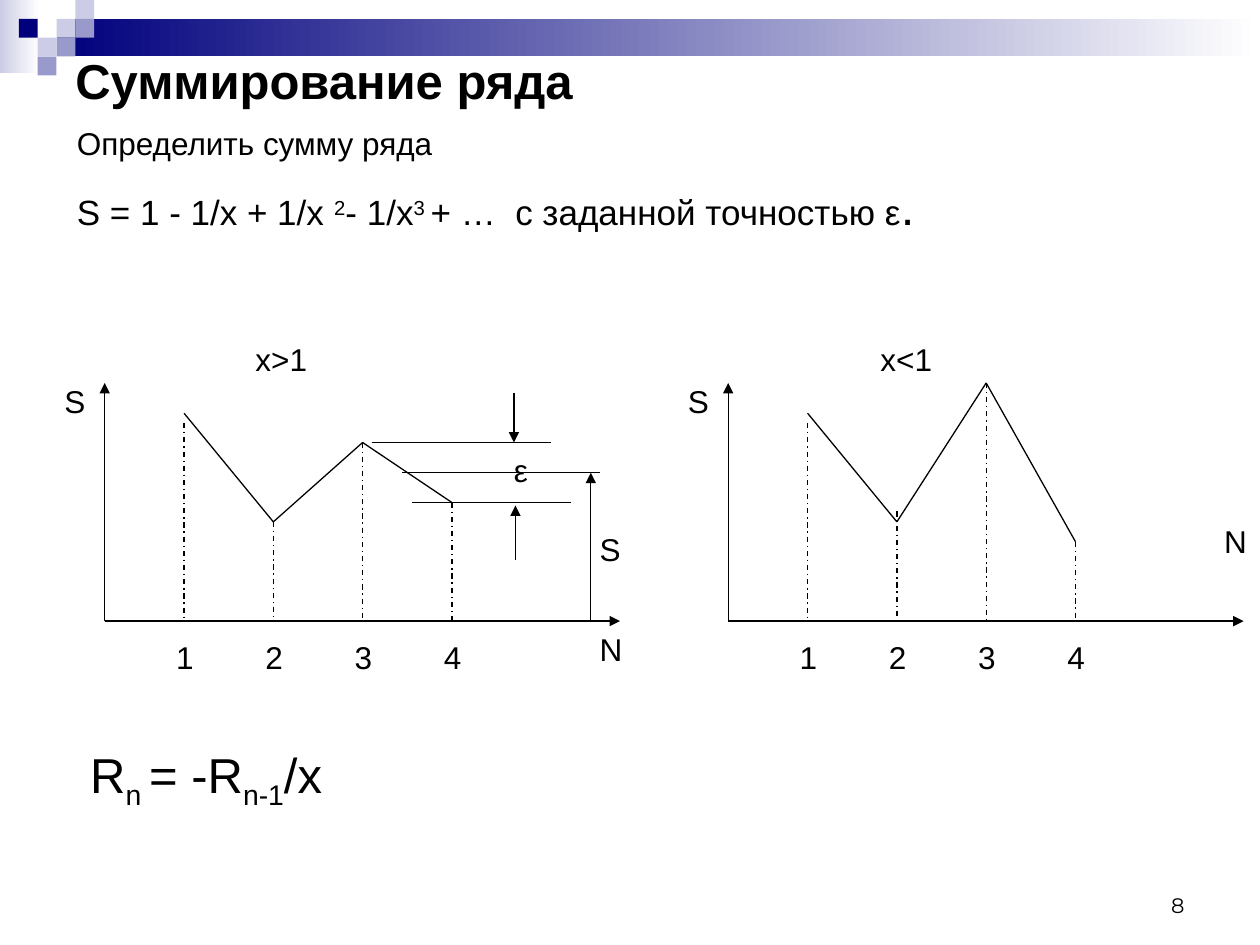
from dataclasses import dataclass

from lxml import etree
from pptx import Presentation
from pptx import util as u
from pptx.dml.color import RGBColor
from pptx.enum import dml, shapes, text
from pptx.oxml import ns


@dataclass(frozen=True)
class Theme:
    ink: str = "000000"
    navy: str = "00007D"
    violet: str = "9999CC"
    lilac: str = "CCCCE6"
    white: str = "FFFFFF"
    font: str = "Arial"
    number_font: str = "Montserrat"
    heading: int = 28
    formula: int = 20
    label: int = 18
    number: int = 12
    stroke: float = 0.74


class SlideBuilder:
    """Draw styled elements on one slide, with lengths in centimetres."""

    def __init__(self, page, theme):
        self.page = page
        self.theme = theme

    def rect(self, left, top, width, height, *colors):
        box = self.page.shapes.add_shape(
            shapes.MSO_SHAPE.RECTANGLE, u.Cm(left), u.Cm(top), u.Cm(width), u.Cm(height))
        box.shadow.inherit = False
        box.line.fill.background()
        if len(colors) == 1:
            box.fill.solid()
            box.fill.fore_color.rgb = RGBColor.from_string(colors[0])
            return
        box.fill.gradient()
        box.fill.gradient_angle = 0
        for stop, color, position in zip(box.fill.gradient_stops, colors, (0, 1)):
            stop.color.rgb = RGBColor.from_string(color)
            stop.position = position

    def line(self, start, end, arrow=False, dashed=False):
        x1, y1, x2, y2 = (u.Cm(value) for value in (*start, *end))
        connector = self.page.shapes.add_connector(
            shapes.MSO_CONNECTOR.STRAIGHT, x1, y1, x2, y2)
        connector.line.width = u.Pt(self.theme.stroke)
        connector.line.color.rgb = RGBColor.from_string(self.theme.ink)
        if dashed:
            connector.line.dash_style = dml.MSO_LINE.DASH_DOT
        properties = connector.element.spPr
        if arrow:
            outline = properties.find(ns.qn("a:ln"))
            etree.SubElement(outline, ns.qn("a:tailEnd"), type="triangle")
        etree.SubElement(properties, ns.qn("a:effectLst"))

    def text(self, left, top, width, height, paragraphs, size, wrap=True,
             font=None, bold=False, align=text.PP_ALIGN.LEFT,
             anchor=text.MSO_ANCHOR.TOP, gap=0):
        box = self.page.shapes.add_textbox(
            u.Cm(left), u.Cm(top), u.Cm(width), u.Cm(height))
        frame = box.text_frame
        frame.word_wrap = wrap
        frame.vertical_anchor = anchor
        for index, spans in enumerate(paragraphs):
            para = frame.add_paragraph() if index else frame.paragraphs[0]
            para.alignment = align
            para.space_before = u.Pt(gap if index else 0)
            for words, span_size, baseline in spans:
                span = para.add_run()
                span.text = words
                span.font.name = font or self.theme.font
                span.font.size = u.Pt(span_size or size)
                span.font.bold = bold
                span.font.color.rgb = RGBColor.from_string(self.theme.ink)
                if baseline:
                    span._r.get_or_add_rPr().set("baseline", str(baseline * 1000))

    def label(self, left, top, words, width=0.9):
        self.text(left, top, width, 1.02, [[(words, None, 0)]], self.theme.label, wrap=False)

    def chart(self, shift, heights, drop_tops, name_at, title, title_left):
        base, origin = 12.52, 2.11 + shift
        ticks = [3.71 + shift + 1.8 * index for index in range(len(heights))]
        self.line((origin, base), (origin + 10.39, base), arrow=True)
        self.line((origin, base), (origin, 7.72), arrow=True)
        points = list(zip(ticks, heights))
        for start, end in zip(points, points[1:]):
            self.line(start, end)
        for number, (tick, drop_top) in enumerate(zip(ticks, drop_tops), 1):
            self.line((tick, drop_top), (tick, base), dashed=True)
            self.label(tick - 0.41, 12.73, str(number), 0.86)
        self.label(origin - 1.06, 7.57, "S")
        self.label(*name_at, "N", 0.97)
        self.label(title_left, 6.73, title, 1.55)


theme = Theme()
deck = Presentation()
deck.slide_width, deck.slide_height = u.Cm(25.4), u.Cm(19.05)
page = deck.slides.add_slide(deck.slide_layouts[6])
slide = SlideBuilder(page, theme)

slide.rect(0, 0, 0.79, 1.48, theme.lilac, theme.white)
slide.rect(1.14, 0.38, 24.26, 0.76, theme.navy, theme.white)
tile = 0.38
for column, row, color in (
        (3, 1, theme.lilac), (4, 0, theme.lilac), (4, 1, theme.violet),
        (2, 2, theme.lilac), (1, 1, theme.navy), (3, 2, theme.violet),
        (2, 3, theme.violet)):
    slide.rect(column * tile, row * tile, tile, tile, color)

slide.text(18.21, 17.35, 5.92, 1.27, [[("8", None, 0)]], theme.number,
           font=theme.number_font, align=text.PP_ALIGN.RIGHT,
           anchor=text.MSO_ANCHOR.BOTTOM)
slide.text(1.27, 0.71, 22.86, 1.8, [[("Суммирование ряда", None, 0)]],
           theme.heading, bold=True, anchor=text.MSO_ANCHOR.MIDDLE)
slide.text(1.3, 2.38, 23.39, 2.6, [
    [("Определить сумму ряда", theme.label, 0)],
    [("S = 1 - 1/x + 1/x ", None, 0), ("2", None, 30), ("- 1/x", None, 0),
     ("3 ", None, 30), ("+ …  с заданной точностью ε", None, 0),
     (".", theme.heading, 0)],
], theme.formula, gap=8.5)
slide.text(1.57, 14.88, 8, 1.6, [
    [("R", None, 0), ("n ", None, -25), ("= -R", None, 0),
     ("n-1", None, -25), ("/x", None, 0)],
], theme.heading)

slide.chart(0, (8.33, 10.52, 8.92, 10.13), (8.53, 10.52, 8.92, 10.13),
            (11.84, 12.57), "x>1", 4.9)
slide.chart(12.57, (8.33, 10.52, 7.72, 10.92), (8.53, 10.31, 7.72, 10.92),
            (24.43, 10.39), "x<1", 17.5)

for left, right, level in ((7.49, 11.1, 8.92), (8.1, 12.09, 9.53), (8.31, 11.51, 10.13)):
    slide.line((left, level), (right, level))
for x, start, end in ((10.36, 7.92, 8.92), (10.39, 11.28, 10.19), (11.91, 12.52, 9.53)):
    slide.line((x, start), (x, end), arrow=True)
slide.label(10.11, 8.97, "ε", 0.79)
slide.label(11.84, 10.57, "S")

deck.save("out.pptx")
